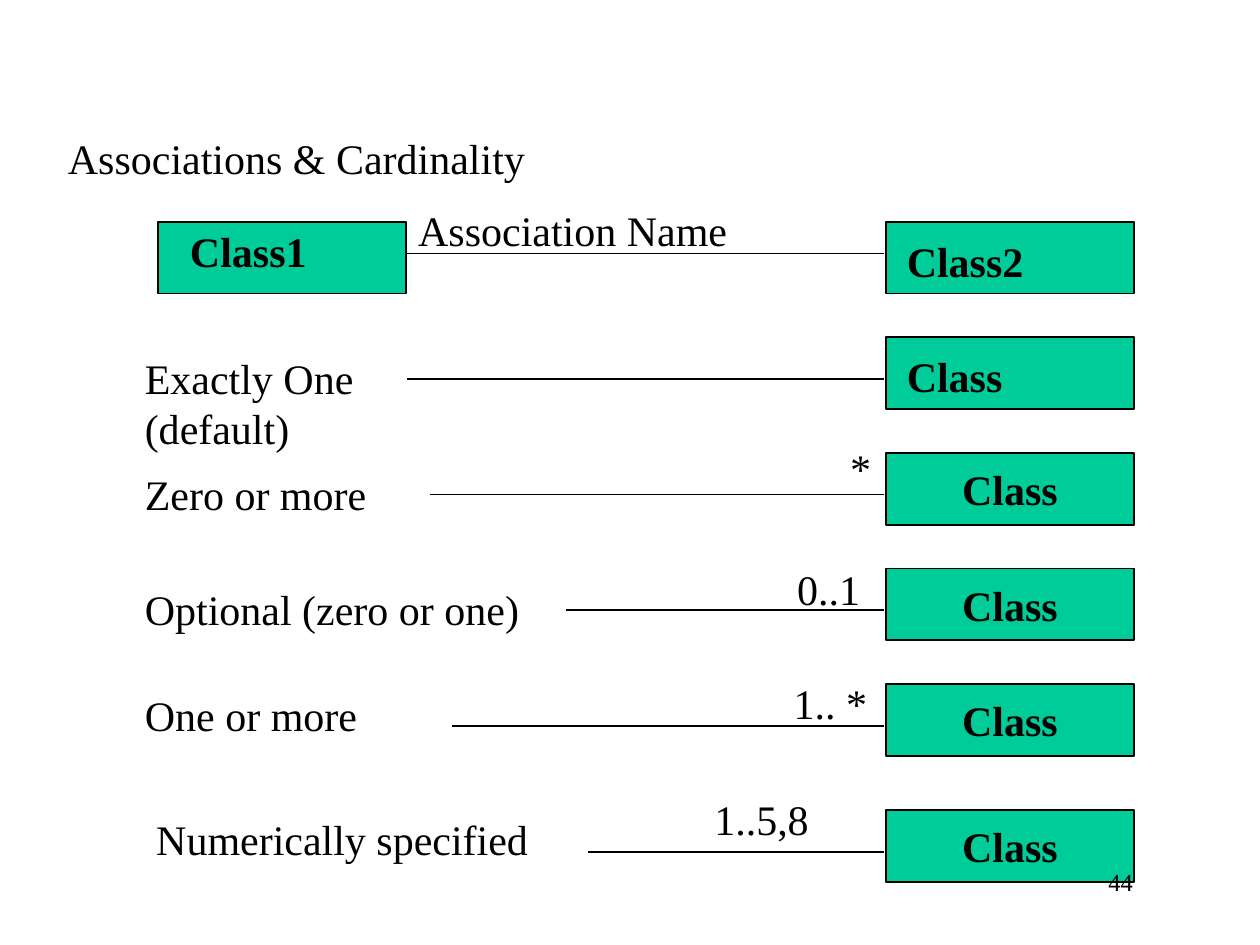
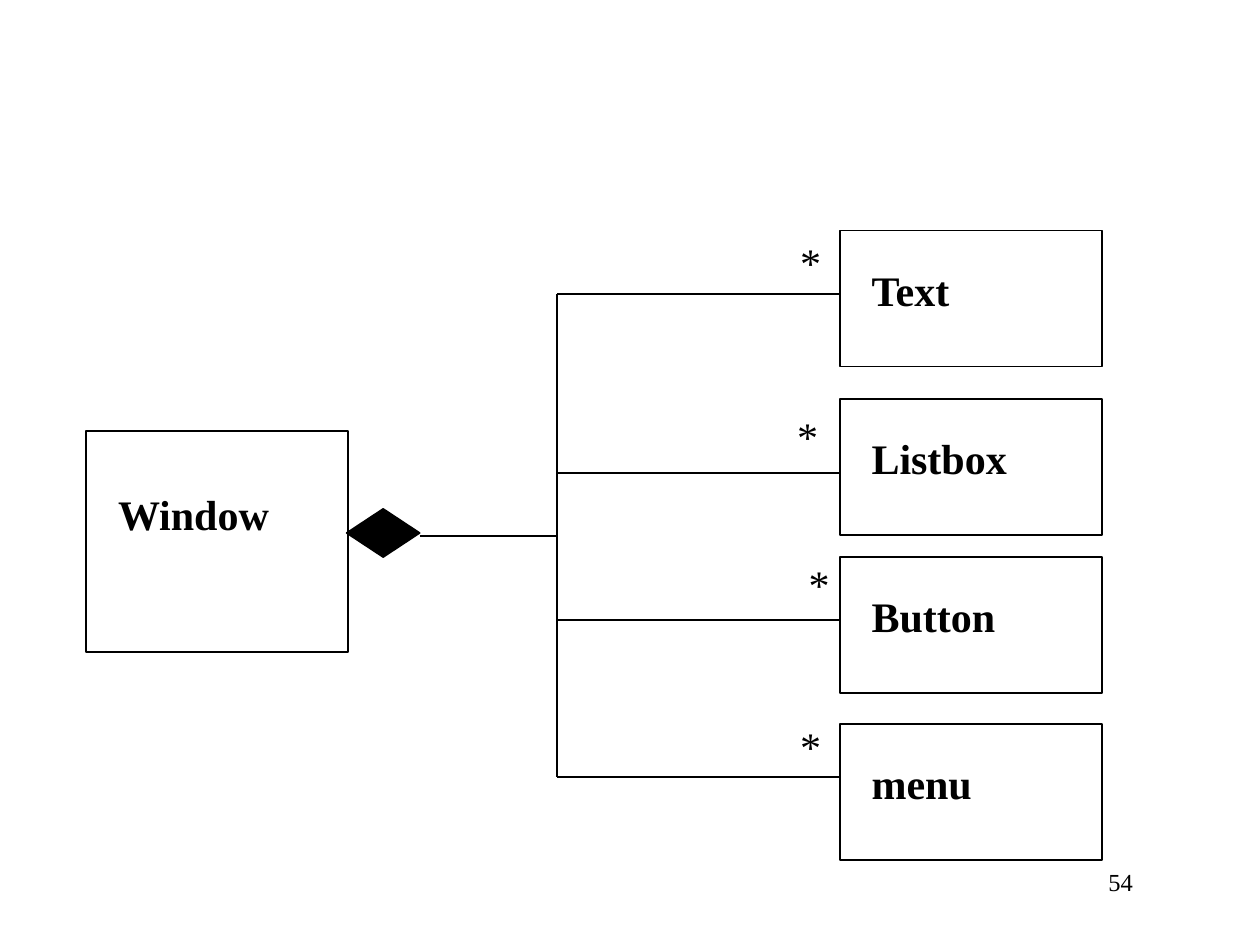
from lxml import etree
from pptx import Presentation
from pptx.dml.color import RGBColor
from pptx.enum.shapes import MSO_CONNECTOR, MSO_SHAPE
from pptx.enum.text import MSO_ANCHOR, MSO_AUTO_SIZE, PP_ALIGN
from pptx.oxml.ns import qn
from pptx.util import Cm, Pt

RECT, DIAMOND = MSO_SHAPE.RECTANGLE, MSO_SHAPE.DIAMOND
STRAIGHT = MSO_CONNECTOR.STRAIGHT
LEFT, CENTER, RIGHT = PP_ALIGN.LEFT, PP_ALIGN.CENTER, PP_ALIGN.RIGHT
TOP, MIDDLE, BOTTOM = MSO_ANCHOR.TOP, MSO_ANCHOR.MIDDLE, MSO_ANCHOR.BOTTOM
FIT, NO_FIT = MSO_AUTO_SIZE.SHAPE_TO_FIT_TEXT, MSO_AUTO_SIZE.NONE

FONT = "Times New Roman"
BLACK, GREEN = "000000", "00CC99"
LABEL_H = 1.27

# Cardinality slide
CLASS_W, CLASS_H = 5.0, 1.45
CLASS_X, CLASS_LABEL_X = 17.86, 18.03
ROW_TOP, ROW_STEP, LAST_ROW = 4.47, 2.33, 16.33

# Composition slide
PART_X, PART_W, PART_H = 16.94, 5.28, 2.74
TRUNK_X = 11.23


def color(value):
    return RGBColor.from_string(value)


# Elements
def write(sp, text, size=24, bold=False, align=LEFT, anchor=TOP, wrap=False, fit=NO_FIT):
    tf = sp.text_frame
    tf.word_wrap = wrap
    tf.auto_size = fit
    tf.vertical_anchor = anchor
    for i, line in enumerate(text.split("\n")):
        p = tf.paragraphs[0] if i == 0 else tf.add_paragraph()
        p.alignment = align
        r = p.add_run()
        r.text = line
        r.font.name = FONT
        r.font.size = Pt(size)
        r.font.bold = bold
        r.font.color.rgb = color(BLACK)


def add_text(s, text, x, y, w, h=LABEL_H, **fmt):
    sp = s.shapes.add_textbox(Cm(x), Cm(y), Cm(w), Cm(h))
    write(sp, text, **fmt)


def add_label(s, text, x, y, w, bold=False):
    lines = text.count("\n") + 1
    add_text(s, text, x, y, w, h=LABEL_H + (lines - 1) * 1.02, bold=bold, fit=FIT)


def add_box(s, x, y, w, h, fill=None, kind=RECT):
    sp = s.shapes.add_shape(kind, Cm(x), Cm(y), Cm(w), Cm(h))
    sp.shadow.inherit = False
    if fill:
        sp.fill.solid()
        sp.fill.fore_color.rgb = color(fill)
    else:
        sp.fill.background()
    sp.line.color.rgb = color(BLACK)
    sp.line.width = Pt(1)
    return sp


def add_class(s, x, y):
    return add_box(s, x, y, CLASS_W, CLASS_H, GREEN)


def add_line(s, x1, y1, x2, y2):
    ln = s.shapes.add_connector(STRAIGHT, Cm(x1), Cm(y1), Cm(x2), Cm(y2))
    ln.line.color.rgb = color(BLACK)
    ln.line.width = Pt(1)
    etree.SubElement(ln._element.spPr, qn("a:effectLst"))


def add_page_number(s, number):
    add_text(s, str(number), 18.21, 17.35, 4.88, 1.32, size=14, align=RIGHT, wrap=True)


# Slides
def cardinality_slide(prs):
    s = prs.slides.add_slide(prs.slide_layouts[6])
    add_text(s, "Associations & Cardinality", 1.12, 0.64, 21.59, 3.18,
             anchor=BOTTOM, wrap=True)

    # Named association between two classes
    add_class(s, 3.18, ROW_TOP)
    add_class(s, CLASS_X, ROW_TOP)
    add_line(s, 8.2, 5.11, 17.83, 5.11)
    add_label(s, "Association Name", 8.18, 3.99, 6.76)
    add_label(s, "Class1", 3.58, 4.42, 2.87, bold=True)
    add_label(s, "Class2", CLASS_LABEL_X, 4.62, 2.87, bold=True)

    # Description (text, x, y offset, width), line start,
    # multiplicity (text, x, y offset, width)
    rows = [
        (("Exactly One\n(default)", 2.67, 0.18, 4.72), 8.2, None),
        (("Zero or more", 2.67, 0.18, 4.98), 8.66, ("*", 16.89, -0.34, 0.91)),
        (("Optional (zero or one)", 2.67, 0.18, 8.05), 11.4, ("0..1", 15.82, -0.23, 1.78)),
        (("One or more", 2.67, -0.02, 4.8), 9.12, ("1.. *", 15.75, -0.25, 2.01)),
        (("Numerically specified", 2.9, -0.05, 8.0), 11.86, ("1..5,8", 14.15, -0.45, 2.41)),
    ]
    tops = [ROW_TOP + ROW_STEP * i for i in range(1, len(rows))] + [LAST_ROW]
    for (description, line_x, multiplicity), y in zip(rows, tops):
        sp = add_class(s, CLASS_X, y)
        if multiplicity:
            write(sp, "Class", bold=True, align=CENTER, anchor=MIDDLE)
        else:
            add_label(s, "Class", CLASS_LABEL_X, y + 0.15, 2.67, bold=True)
        add_line(s, line_x, y + 0.84, 17.83, y + 0.84)
        for label in filter(None, (description, multiplicity)):
            text, x, dy, w = label
            add_label(s, text, x, y + dy, w)
    add_page_number(s, 44)


def composition_slide(prs):
    s = prs.slides.add_slide(prs.slide_layouts[6])

    # The whole
    add_box(s, 1.73, 8.69, PART_W, 4.45)
    add_label(s, "Window", 2.13, 9.73, 3.56, bold=True)
    add_box(s, 6.99, 10.26, 1.47, 0.97, BLACK, DIAMOND)
    add_line(s, 8.46, 10.8, TRUNK_X, 10.8)

    # Parts: name, label width, top, branch y, star x, star y
    parts = [
        ("Text", 2.16, 4.65, 5.92, 15.88, 4.65),
        ("Listbox", 3.23, 8.05, 9.53, 15.82, 8.15),
        ("Button", 3.0, 11.23, 12.5, 16.05, 11.13),
        ("menu", 2.6, 14.6, 15.67, 15.88, 14.4),
    ]
    for name, w, y, branch_y, star_x, star_y in parts:
        add_box(s, PART_X, y, PART_W, PART_H)
        add_label(s, name, 17.32, y + 0.55, w, bold=True)
        add_line(s, TRUNK_X, branch_y, PART_X, branch_y)
        add_label(s, "*", star_x, star_y, 0.91)
    add_line(s, TRUNK_X, parts[0][3], TRUNK_X, parts[-1][3])
    add_page_number(s, 54)


def main():
    prs = Presentation()
    prs.slide_width, prs.slide_height = Cm(25.4), Cm(19.05)
    cardinality_slide(prs)
    composition_slide(prs)
    prs.save("out.pptx")


if __name__ == "__main__":
    main()
